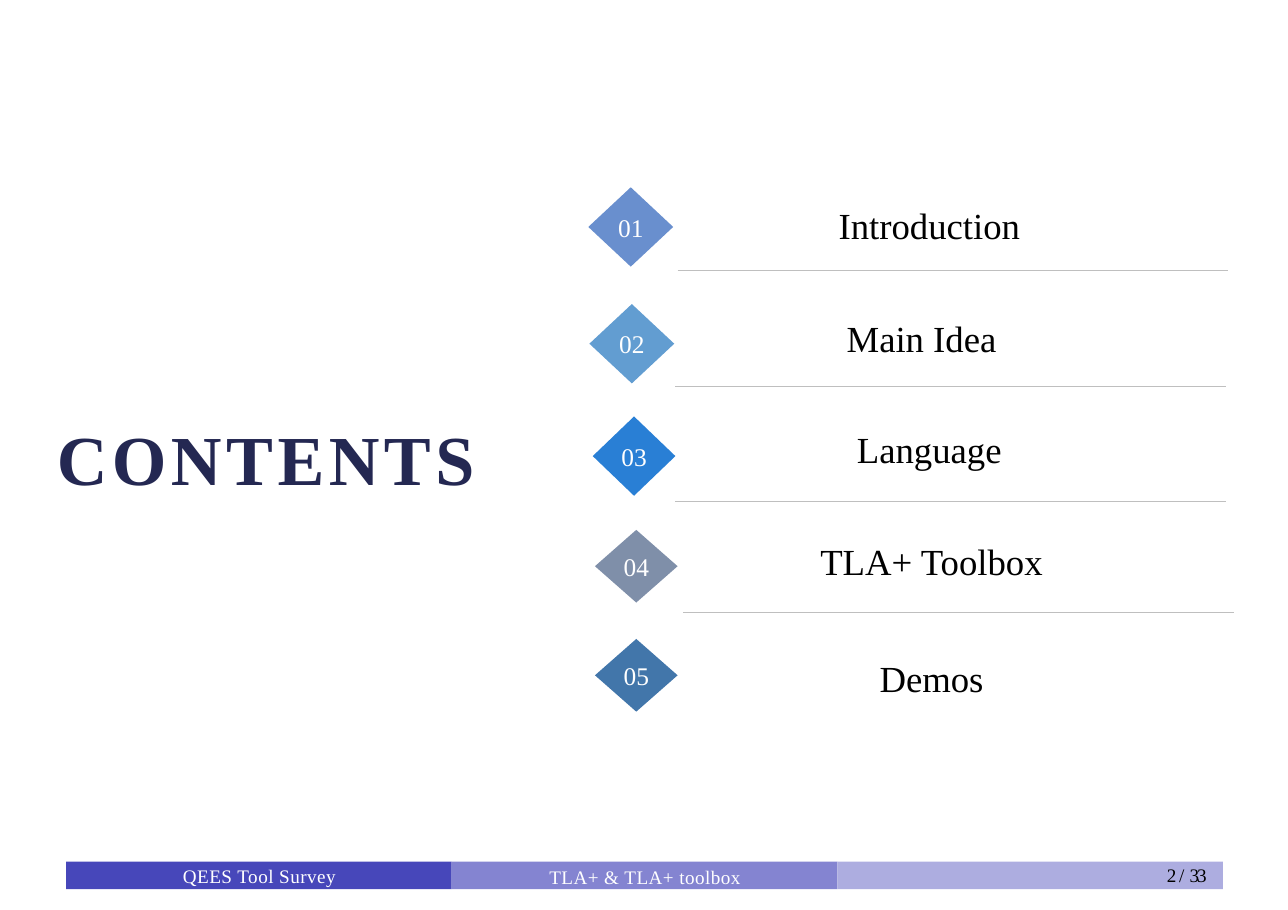
from dataclasses import dataclass

from lxml.etree import SubElement
from pptx import Presentation
from pptx.dml.color import RGBColor
from pptx.enum.shapes import MSO_CONNECTOR, MSO_SHAPE
from pptx.enum.text import MSO_ANCHOR, MSO_AUTO_SIZE, PP_ALIGN
from pptx.oxml.ns import qn
from pptx.shapes.autoshape import Shape
from pptx.slide import Slide
from pptx.text.text import TextFrame
from pptx.util import Inches, Pt


@dataclass(frozen=True)
class Theme:
    font: str = "Times New Roman"
    title_color: str = "242852"
    text_color: str = "000000"
    light_color: str = "FFFFFF"
    rule_color: str = "BFBFBF"
    bar_colors: tuple[str, ...] = ("4747BA", "8484D1", "ADADE0")
    title_size: float = 45.9
    topic_size: float = 24
    number_size: float = 16.6
    footer_size: float = 12.5
    rule_width: float = 0.25


@dataclass(frozen=True)
class Area:
    left: float
    top: float
    width: float
    height: float

    def lengths(self) -> tuple[Inches, ...]:
        return tuple(map(Inches, (self.left, self.top, self.width, self.height)))


@dataclass(frozen=True)
class Topic:
    name: str
    color: str
    diamond: Area
    text_left: float
    text_top: float
    rule: tuple[float, float] | None = None  # left end and height on the page


@dataclass(frozen=True)
class FooterText:
    spans: tuple[tuple[str, float], ...]  # wording and letter spacing
    area: Area
    color: str
    align: PP_ALIGN
    indent: float
    line_height: float


THEME = Theme()
TOPIC_WIDTH, TOPIC_HEIGHT = 4.33, 0.33
RULE_LENGTH = 5.0
BAR = Area(0.6, 7.82, 3.5, 0.25)

TOPICS = (
    Topic("Introduction", "698FCE", Area(5.34, 1.7, 0.77, 0.72), 6.27, 1.96, (6.15, 2.45)),
    Topic("Main Idea", "629DD1", Area(5.35, 2.76, 0.77, 0.72), 6.2, 2.99, (6.13, 3.51)),
    Topic("Language", "297FD5", Area(5.38, 3.78, 0.75, 0.72), 6.27, 3.99, (6.13, 4.55)),
    Topic("TLA+ Toolbox", "7F8FA9", Area(5.4, 4.81, 0.75, 0.66), 6.29, 5.01, (6.2, 5.56)),
    Topic("Demos", "4276AA", Area(5.4, 5.8, 0.75, 0.66), 6.29, 6.07),
)
FOOTER = (
    FooterText((("QEES Tool Survey", 0.3),), Area(1.18, 7.87, 2.34, 0.18),
               THEME.light_color, PP_ALIGN.CENTER, 0.01, 13.2),
    FooterText((("TLA+ & TLA+ toolbox", 0.3),), Area(4.68, 7.88, 2.34, 0.18),
               THEME.light_color, PP_ALIGN.CENTER, 0.01, 13.2),
    FooterText((("2 ", -1.3), ("/ ", 0.1), ("33", -1.3)), Area(10.47, 7.87, 0.62, 0.19),
               THEME.text_color, PP_ALIGN.LEFT, 0.12, 12.8),
)


def write(frame: TextFrame, text: str, *, size: float, color: str, bold: bool = False,
          spacing: float = 0, align: PP_ALIGN = PP_ALIGN.CENTER) -> None:
    """Append a formatted span to the first paragraph of the frame."""
    para = frame.paragraphs[0]
    para.alignment = align
    span = para.add_run()
    span.text = text
    span.font.name = THEME.font
    span.font.size = Pt(size)
    span.font.bold = bold
    span.font.color.rgb = RGBColor.from_string(color)
    if spacing:
        span._r.get_or_add_rPr().set("spc", str(round(spacing * 100)))


def add_filled(page: Slide, kind: MSO_SHAPE, area: Area, color: str) -> Shape:
    shape = page.shapes.add_shape(kind, *area.lengths())
    shape.shadow.inherit = False
    shape.fill.solid()
    shape.fill.fore_color.rgb = RGBColor.from_string(color)
    shape.line.fill.background()
    return shape


def add_rule(page: Slide, left: float, top: float) -> None:
    rule = page.shapes.add_connector(MSO_CONNECTOR.STRAIGHT, Inches(left), Inches(top),
                                     Inches(left + RULE_LENGTH), Inches(top))
    rule.line.color.rgb = RGBColor.from_string(THEME.rule_color)
    rule.line.width = Pt(THEME.rule_width)
    SubElement(rule._element.spPr, qn("a:effectLst"))


def add_topic(page: Slide, number: int, topic: Topic) -> None:
    diamond = add_filled(page, MSO_SHAPE.DIAMOND, topic.diamond, topic.color)
    diamond.text_frame.word_wrap = False
    diamond.text_frame.vertical_anchor = MSO_ANCHOR.MIDDLE
    write(diamond.text_frame, f"{number:02}", size=THEME.number_size, color=THEME.light_color)

    area = Area(topic.text_left, topic.text_top, TOPIC_WIDTH, TOPIC_HEIGHT)
    frame = page.shapes.add_textbox(*area.lengths()).text_frame
    frame.word_wrap = False
    frame.vertical_anchor = MSO_ANCHOR.BOTTOM
    write(frame, topic.name, size=THEME.topic_size, color=THEME.text_color)

    if topic.rule:
        add_rule(page, *topic.rule)


def add_footer_text(page: Slide, item: FooterText) -> None:
    frame = page.shapes.add_textbox(*item.area.lengths()).text_frame
    frame.word_wrap = True
    frame.margin_left = frame.margin_right = frame.margin_top = frame.margin_bottom = 0
    para = frame.paragraphs[0]
    para.line_spacing = Pt(item.line_height)
    para._p.get_or_add_pPr().set("marL", str(Inches(item.indent)))
    for text, spacing in item.spans:
        write(frame, text, size=THEME.footer_size, color=item.color,
              spacing=spacing, align=item.align)


def add_footer(page: Slide) -> None:
    for index, color in enumerate(THEME.bar_colors):
        area = Area(BAR.left + index * BAR.width, BAR.top, BAR.width, BAR.height)
        add_filled(page, MSO_SHAPE.RECTANGLE, area, color)
    for item in FOOTER:
        add_footer_text(page, item)


def set_title(page: Slide, text: str, area: Area) -> None:
    title = page.shapes.title
    title.left, title.top, title.width, title.height = area.lengths()
    frame = title.text_frame
    frame.auto_size = MSO_AUTO_SIZE.NONE
    frame.word_wrap = True
    frame.margin_left = 0
    frame.vertical_anchor = MSO_ANCHOR.MIDDLE
    write(frame, text, size=THEME.title_size, color=THEME.title_color, bold=True,
          spacing=3, align=PP_ALIGN.RIGHT)


def main() -> None:
    deck = Presentation()
    deck.slide_width, deck.slide_height = Inches(11.69), Inches(8.26)
    page = deck.slides.add_slide(deck.slide_layouts.get_by_name("Title Only"))
    set_title(page, "CONTENTS", Area(0.32, 3.65, 4.09, 1.01))
    add_footer(page)
    for number, topic in enumerate(TOPICS, start=1):
        add_topic(page, number, topic)
    deck.save("out.pptx")


if __name__ == "__main__":
    main()
